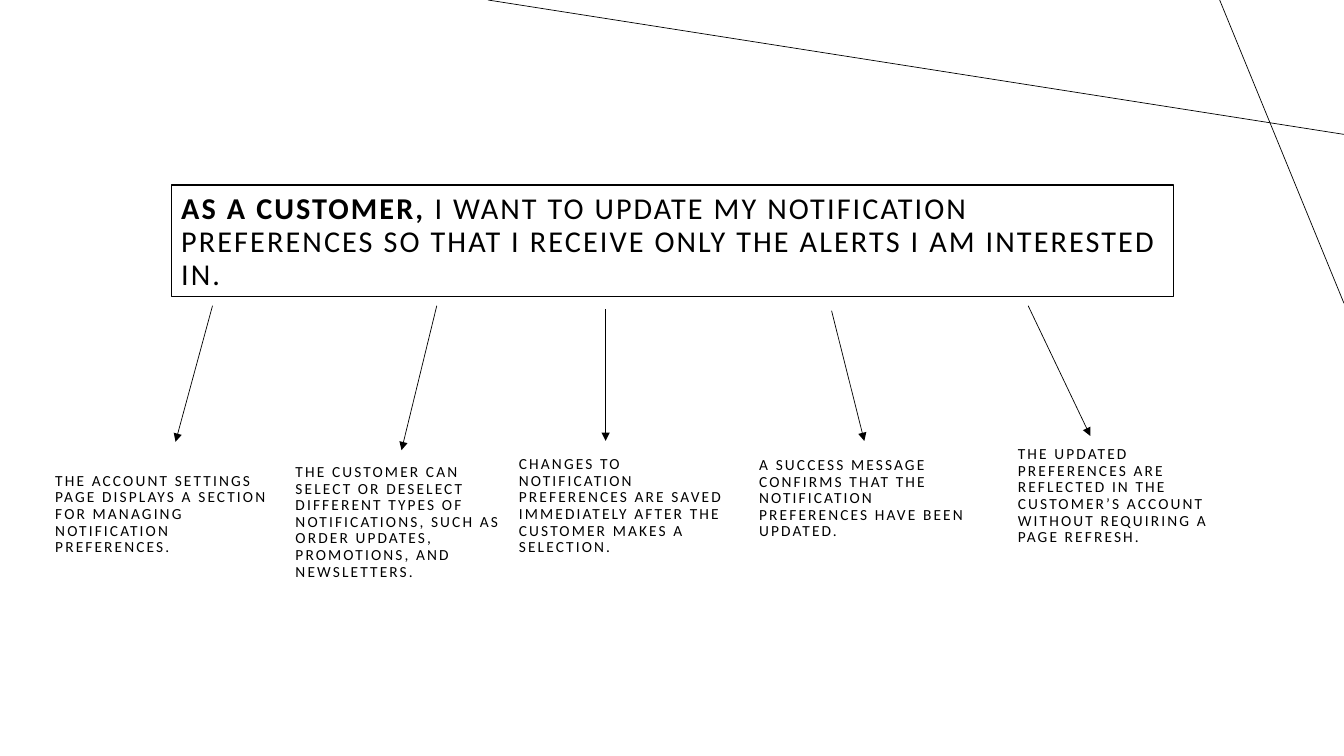
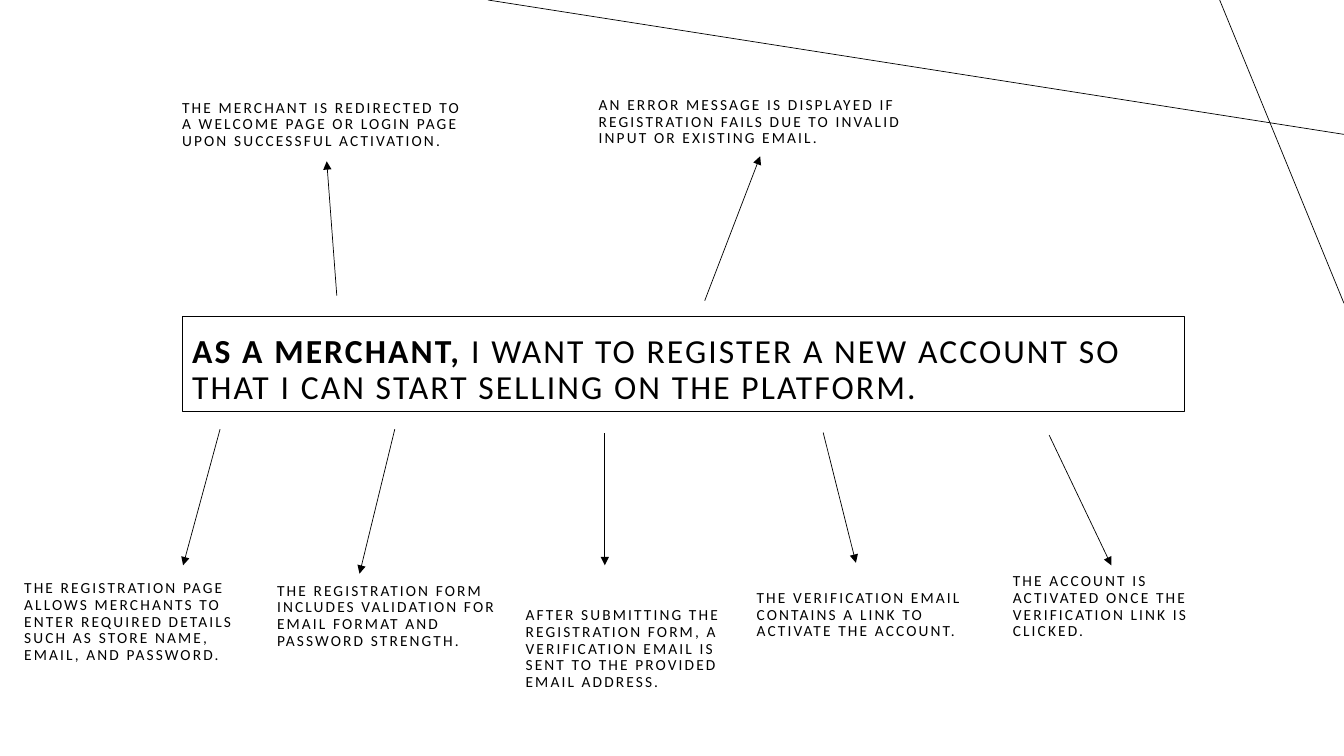
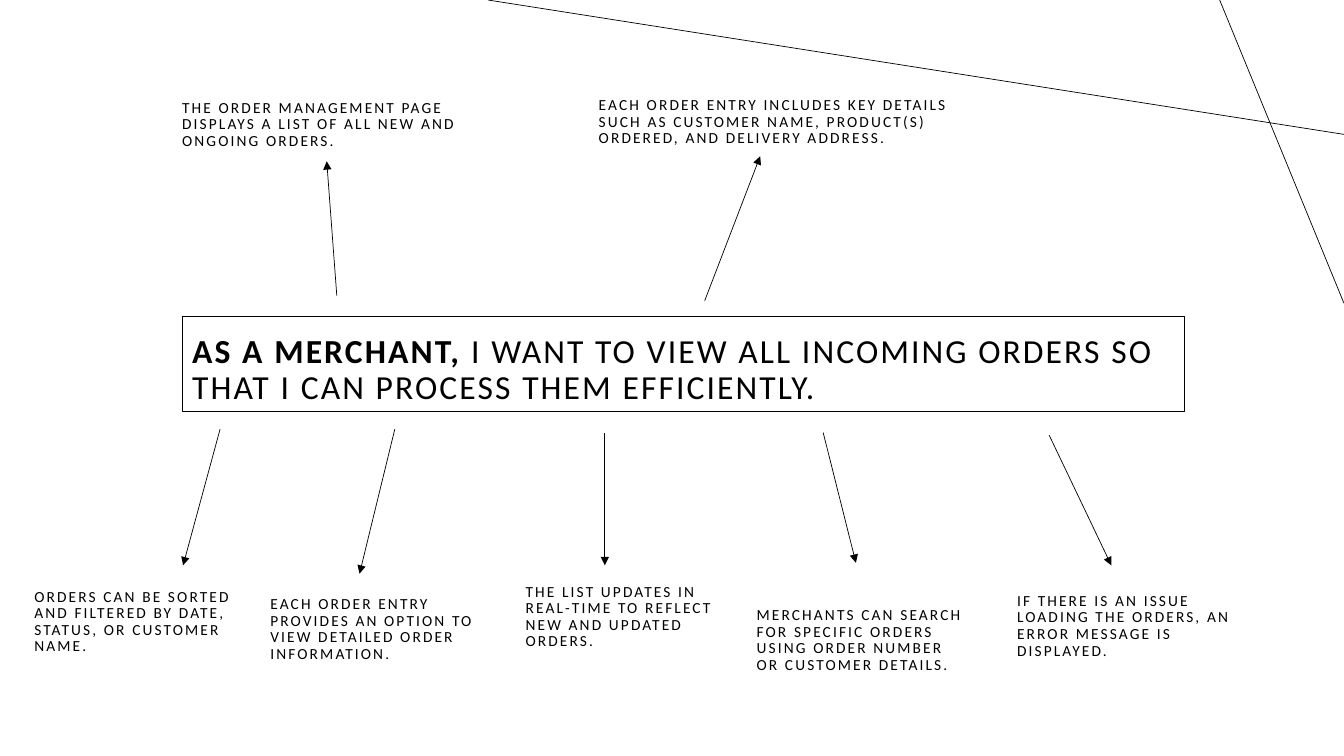
from lxml import etree
from pptx import Presentation
from pptx import util as u
from pptx.dml.color import RGBColor
from pptx.enum import shapes, text
from pptx.oxml.ns import qn

COLORS = {"ink": "000000", "paper": "FFFFFF"}
FONT = "Calibri"
COLUMNS, ROWS = 160, 90
CELL = u.Inches(1 / 12)
NOTE_SIZE = 11

# Decorative lines crossing the top right corner: start, end
CORNER_LINES = [((160, 16), (58.1, 0)), ((145.2, 0), (160, 36.1))]

# Run of each arrow from its start: five down, then two up
ARROW_RUNS = [(-4.4, 16.2), (-4.2, 17.2), (0, 15.7), (3.9, 15.5), (7.4, 15.5),
              (-1.2, -16), (6.6, -17.2)]
CUSTOMER_STARTS = [(25.3, 36.4), (52, 36.4), (72.1, 36.8), (99, 37), (122.4, 36.4)]
MERCHANT_STARTS = [(26.2, 51.1), (47, 51.1), (72, 51.6), (98, 51.5), (124.9, 51.8),
                   (40.1, 35.2), (83.9, 35.8)]

CUSTOMER_BOX = (20.4, 22, 119.3, 13.3)
MERCHANT_BOX = (21.7, 37.7, 119.3, 11.3)
UPPER_LEFT = (20.5, 7.1, 36.6, 11.3)
UPPER_RIGHT = (70.1, 9.2, 44.6, 8.9)

STORIES = [
    {
        "role": "AS A CUSTOMER, ",
        "wish": "I WANT TO UPDATE MY NOTIFICATION PREFERENCES SO THAT I RECEIVE ONLY "
                "THE ALERTS I AM INTERESTED IN.",
        "box": CUSTOMER_BOX, "size": 21.6, "starts": CUSTOMER_STARTS,
        "criteria": [
            ((5.4, 53.5, 28.6, 13.3), "THE ACCOUNT SETTINGS PAGE DISPLAYS A SECTION FOR "
             "MANAGING NOTIFICATION PREFERENCES."),
            ((34, 53.5, 27.6, 16.2), "THE CUSTOMER CAN SELECT OR DESELECT DIFFERENT TYPES OF "
             "NOTIFICATIONS, SUCH AS ORDER UPDATES, PROMOTIONS, AND NEWSLETTERS."),
            ((60.6, 53.5, 27.6, 13.3), "CHANGES TO NOTIFICATION PREFERENCES ARE SAVED "
             "IMMEDIATELY AFTER THE CUSTOMER MAKES A SELECTION."),
            ((89.2, 53.5, 27.6, 11.4), "A SUCCESS MESSAGE CONFIRMS THAT THE NOTIFICATION "
             "PREFERENCES HAVE BEEN UPDATED."),
            ((120, 52.3, 27.6, 13.3), "THE UPDATED PREFERENCES ARE REFLECTED IN THE "
             "CUSTOMER’S ACCOUNT WITHOUT REQUIRING A PAGE REFRESH."),
        ],
    },
    {
        "role": "AS A MERCHANT, ",
        "wish": "I WANT TO REGISTER A NEW ACCOUNT SO THAT I CAN START SELLING ON THE PLATFORM.",
        "box": MERCHANT_BOX, "size": 24, "starts": MERCHANT_STARTS,
        "criteria": [
            ((1.7, 68.3, 30.2, 11.3), "THE REGISTRATION PAGE ALLOWS MERCHANTS TO ENTER "
             "REQUIRED DETAILS SUCH AS STORE NAME, EMAIL, AND PASSWORD."),
            ((31.8, 66.6, 29.6, 11.3), "THE REGISTRATION FORM INCLUDES VALIDATION FOR EMAIL "
             "FORMAT AND PASSWORD STRENGTH."),
            ((61.4, 68.3, 25.7, 14.5), "AFTER SUBMITTING THE REGISTRATION FORM, A "
             "VERIFICATION EMAIL IS SENT TO THE PROVIDED EMAIL ADDRESS."),
            ((88.9, 68.3, 27.8, 8.5), "THE VERIFICATION EMAIL CONTAINS A LINK TO ACTIVATE "
             "THE ACCOUNT."),
            ((119.4, 68.9, 27.8, 7.9), "THE ACCOUNT IS ACTIVATED ONCE THE VERIFICATION LINK "
             "IS CLICKED."),
            (UPPER_LEFT, "THE MERCHANT IS REDIRECTED TO A WELCOME PAGE OR LOGIN PAGE UPON "
             "SUCCESSFUL ACTIVATION."),
            (UPPER_RIGHT, "AN ERROR MESSAGE IS DISPLAYED IF REGISTRATION FAILS DUE TO "
             "INVALID INPUT OR EXISTING EMAIL."),
        ],
    },
    {
        "role": "AS A MERCHANT, ",
        "wish": "I WANT TO VIEW ALL INCOMING ORDERS SO THAT I CAN PROCESS THEM EFFICIENTLY.",
        "box": MERCHANT_BOX, "size": 24, "starts": MERCHANT_STARTS,
        "criteria": [
            ((2.9, 70.1, 29.6, 8.5), "ORDERS CAN BE SORTED AND FILTERED BY DATE, STATUS, OR "
             "CUSTOMER NAME."),
            ((31, 68.2, 29.6, 11.3), "EACH ORDER ENTRY PROVIDES AN OPTION TO VIEW DETAILED "
             "ORDER INFORMATION."),
            ((61.4, 68.3, 27.4, 9.7), "THE LIST UPDATES IN REAL-TIME TO REFLECT NEW AND "
             "UPDATED ORDERS."),
            ((88.9, 67.1, 27.4, 13.7), "MERCHANTS CAN SEARCH FOR SPECIFIC ORDERS USING ORDER "
             "NUMBER OR CUSTOMER DETAILS."),
            ((119.9, 71.2, 27.8, 7.9), "IF THERE IS AN ISSUE LOADING THE ORDERS, AN ERROR "
             "MESSAGE IS DISPLAYED."),
            (UPPER_LEFT, "THE ORDER MANAGEMENT PAGE DISPLAYS A LIST OF ALL NEW AND ONGOING "
             "ORDERS."),
            (UPPER_RIGHT, "EACH ORDER ENTRY INCLUDES KEY DETAILS SUCH AS CUSTOMER NAME, "
             "PRODUCT(S) ORDERED, AND DELIVERY ADDRESS."),
        ],
    },
]


def color(name):
    return RGBColor.from_string(COLORS[name])


def cells(*counts):
    """Turn counts of grid cells into lengths."""
    return [u.Emu(round(count * CELL)) for count in counts]


class StoryDeck:
    """Holds the presentation, its style and the slide being drawn."""

    def __init__(self):
        self.presentation = Presentation()
        width, height = cells(COLUMNS, ROWS)
        self.presentation.slide_width = width
        self.presentation.slide_height = height
        self.slide = None

    def new_slide(self):
        self.slide = self.presentation.slides.add_slide(self.presentation.slide_layouts[6])
        fill = self.slide.background.fill
        fill.solid()
        fill.fore_color.rgb = color("paper")
        for start, end in CORNER_LINES:
            self.line(start, end)

    def line(self, start, end):
        connector = self.slide.shapes.add_connector(
            shapes.MSO_CONNECTOR.STRAIGHT, *cells(*start, *end))
        connector.line.color.rgb = color("ink")
        connector.line.width = u.Pt(0.5)
        etree.SubElement(connector._element.spPr, qn("a:effectLst"))
        return connector

    def arrow(self, start, run):
        end = (start[0] + run[0], start[1] + run[1])
        outline = self.line(start, end)._element.spPr.find(qn("a:ln"))
        etree.SubElement(outline, qn("a:tailEnd"), type="triangle")

    def set_text(self, shape, size, *pieces):
        """Fill a shape with one letter-spaced paragraph, a run for each piece."""
        frame = shape.text_frame
        frame.word_wrap = True
        frame.vertical_anchor = text.MSO_ANCHOR.BOTTOM
        paragraph = frame.paragraphs[0]
        paragraph.alignment = text.PP_ALIGN.LEFT
        paragraph.line_spacing = 0.9
        paragraph.font.name = FONT
        paragraph.font.size = u.Pt(size)
        paragraph.font.color.rgb = color("ink")
        paragraph._p.pPr.find(qn("a:defRPr")).set("spc", "150")
        for piece in pieces:
            paragraph.add_run().text = piece
        return paragraph

    def story(self, box, size, role, wish):
        shape = self.slide.shapes.add_shape(shapes.MSO_SHAPE.RECTANGLE, *cells(*box))
        shape.shadow.inherit = False
        shape.fill.solid()
        shape.fill.fore_color.rgb = color("paper")
        shape.line.color.rgb = color("ink")
        shape.line.width = u.Pt(1)
        paragraph = self.set_text(shape, size, role, wish)
        paragraph.runs[0].font.bold = True

    def criterion(self, box, wording):
        self.set_text(self.slide.shapes.add_textbox(*cells(*box)), NOTE_SIZE, wording)


def main():
    deck = StoryDeck()
    for story in STORIES:
        deck.new_slide()
        deck.story(story["box"], story["size"], story["role"], story["wish"])
        for start, run, (box, wording) in zip(story["starts"], ARROW_RUNS, story["criteria"]):
            deck.arrow(start, run)
            deck.criterion(box, wording)
    deck.presentation.save("out.pptx")


if __name__ == "__main__":
    main()
